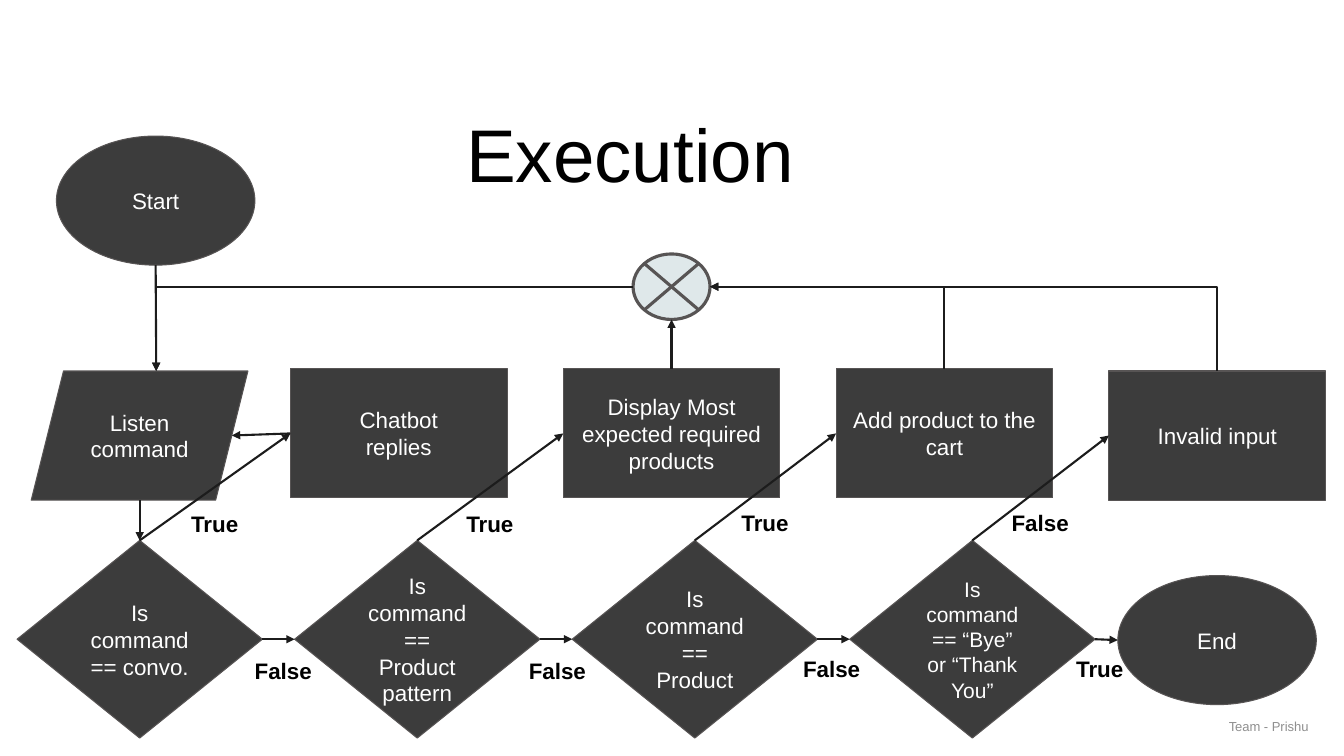
from dataclasses import dataclass
from typing import NamedTuple, Optional

from lxml.etree import SubElement
from pptx import Presentation
from pptx.dml.color import RGBColor
from pptx.enum.shapes import MSO_CONNECTOR, MSO_SHAPE
from pptx.enum.text import MSO_ANCHOR, MSO_AUTO_SIZE, PP_ALIGN
from pptx.oxml.ns import qn
from pptx.shapes.autoshape import Shape
from pptx.shapes.connector import Connector
from pptx.slide import Slide
from pptx.text.text import TextFrame
from pptx.util import Pt


@dataclass(frozen=True)
class Theme:
    font: str = "Arial"
    node: str = "3C3C3C"
    edge: str = "575454"
    link: str = "1C1C1C"
    hub: str = "DFE8EA"
    light: str = "FFFFFF"
    dark: str = "000000"
    muted: str = "8F8F8F"
    title: float = 53.3
    body: float = 16
    small: float = 15
    foot: float = 9.3


THEME = Theme()


class Box(NamedTuple):
    x: float
    y: float
    w: float
    h: float


@dataclass(frozen=True)
class Node:
    kind: MSO_SHAPE
    box: Box
    text: str = ""
    size: float = THEME.body
    fill: str = THEME.node
    line: float = 0.75


@dataclass(frozen=True)
class Port:
    """A connector end, joined to a shape's site when one is given."""
    x: float
    y: float
    shape: Optional[Shape] = None
    site: int = 0


class Label(NamedTuple):
    text: str
    x: float
    y: float


TOP, LEFT, BOTTOM, RIGHT = range(4)
OVAL_W, ROW_H = 141.8, 92.2
RECT_X, RECT_Y, RECT_W, RECT_STEP = 207.4, 263.5, 154.8, 194.9
TEST_X, TEST_Y, TEST_W, TEST_H, TEST_STEP = 12.2, 386, 175.2, 141.2, 198.25
LOW_Y = 265

STEPS = ("Chatbot\nreplies", "Display Most expected required products",
         "Add product to the cart", "Invalid input")
TESTS = ("Is command== convo.", "Is command == Product\npattern",
         "Is command == Product", "Is command == “Bye” or “Thank You”")
LABELS = (
    Label("True", 119.5, 357.1), Label("True", 316.1, 357.1),
    Label("True", 512.6, 356.4), Label("False", 709.2, 356.4),
    Label("False", 168.5, 462.2), Label("False", 364.3, 462.2),
    Label("False", 560.2, 460.8), Label("True", 751.7, 460.8),
)
START = Node(MSO_SHAPE.OVAL, Box(40.3, 97.2, OVAL_W, ROW_H), "Start")
END = Node(MSO_SHAPE.OVAL, Box(798.5, 411.1, OVAL_W, ROW_H), "End")
LISTEN = Node(MSO_SHAPE.PARALLELOGRAM, Box(22.3, LOW_Y, RECT_W, ROW_H),
              "Listen command")
HUB = Node(MSO_SHAPE.FLOWCHART_SUMMING_JUNCTION, Box(452.2, 181.4, 55, 46.8),
           fill=THEME.hub, line=2.25)


def style(frame: TextFrame, size: float, color: str, align: PP_ALIGN,
          bold: bool = False) -> None:
    frame.word_wrap = True
    for para in frame.paragraphs:
        para.alignment = align
        for run in para.runs:
            font = run.font
            font.name, font.size, font.bold = THEME.font, Pt(size), bold
            font.color.rgb = RGBColor.from_string(color)


def draw_node(slide: Slide, node: Node) -> Shape:
    shape = slide.shapes.add_shape(node.kind, *map(Pt, node.box))
    shape.shadow.inherit = False
    shape.fill.solid()
    shape.fill.fore_color.rgb = RGBColor.from_string(node.fill)
    shape.line.color.rgb = RGBColor.from_string(THEME.edge)
    shape.line.width = Pt(node.line)
    if node.text:
        frame = shape.text_frame
        frame.text = node.text
        frame.margin_top = frame.margin_bottom = Pt(7.2)
        frame.vertical_anchor = MSO_ANCHOR.MIDDLE
        style(frame, node.size, THEME.light, PP_ALIGN.CENTER)
    return shape


def draw_text(slide: Slide, text: str, box: Box, size: float, color: str,
              align: PP_ALIGN, bold: bool = False) -> TextFrame:
    frame = slide.shapes.add_textbox(*map(Pt, box)).text_frame
    frame.text = text
    style(frame, size, color, align, bold)
    return frame


def port(shape: Shape, site: int) -> Port:
    """Find the middle of one side of a rectangle or diamond."""
    across, down = {TOP: (0.5, 0), LEFT: (0, 0.5),
                    BOTTOM: (0.5, 1), RIGHT: (1, 0.5)}[site]
    return Port(shape.left.pt + shape.width.pt * across,
                shape.top.pt + shape.height.pt * down, shape, site)


def finish(link: Connector) -> None:
    """Colour a connector, give it an arrowhead and drop its shadow."""
    link.line.color.rgb = RGBColor.from_string(THEME.link)
    link.line.width = Pt(1.5)
    SubElement(link.line._get_or_add_ln(), qn("a:tailEnd"), type="triangle")
    SubElement(link._element.spPr, qn("a:effectLst"))


def draw_link(slide: Slide, start: Port, end: Port) -> None:
    link = slide.shapes.add_connector(
        MSO_CONNECTOR.STRAIGHT, *map(Pt, (start.x, start.y, end.x, end.y)))
    if start.shape is not None:
        link.begin_connect(start.shape, start.site)
    if end.shape is not None:
        link.end_connect(end.shape, end.site)
    finish(link)


def draw_bend(slide: Slide, start: Port, end: Port, rise: bool) -> None:
    """Draw one right-angled turn to the left; rise means upward first."""
    x1, y1, x2, y2 = start.x, start.y, end.x, end.y
    if rise:
        mid_x, mid_y = (x1 + x2) / 2, (y1 + y2) / 2
        half_w, half_h = (y1 - y2) / 2, (x1 - x2) / 2
        x1, y1 = mid_x + half_w, mid_y - half_h
        x2, y2 = mid_x - half_w, mid_y + half_h
    link = slide.shapes.add_connector(
        MSO_CONNECTOR.ELBOW, *map(Pt, (x1, y1, x2, y2)))
    props = link._element.spPr
    props.find(qn("a:prstGeom")).set("prst", "bentConnector2")
    if rise:
        props.find(qn("a:xfrm")).set("rot", "5400000")
    finish(link)


def draw_title(slide: Slide) -> None:
    title = slide.shapes.title
    title.left, title.top, title.width, title.height = map(
        Pt, (73.4, 74.2, 812.9, 71.3))
    frame = title.text_frame
    frame.text = "Execution"
    frame.auto_size = MSO_AUTO_SIZE.NONE
    frame.vertical_anchor = MSO_ANCHOR.BOTTOM
    frame.margin_right = Pt(67)
    frame.paragraphs[0].line_spacing = 0.9
    style(frame, THEME.title, THEME.dark, PP_ALIGN.CENTER)


def draw_links(slide: Slide, tests: list[Shape], rects: list[Shape]) -> None:
    hub_y = HUB.box.y + HUB.box.h / 2
    hub_right = Port(HUB.box.x + HUB.box.w, hub_y)
    inlet = Port(111.6, LOW_Y)
    draw_link(slide, Port(111.2, 189.4), inlet)
    draw_link(slide, Port(99.8, LOW_Y + ROW_H), port(tests[0], TOP))
    for test, rect in zip(tests, rects):
        draw_link(slide, port(test, TOP), port(rect, LEFT))
    goals = [port(test, LEFT) for test in tests[1:]]
    goals.append(Port(END.box.x, END.box.y + ROW_H / 2))
    for test, goal in zip(tests, goals):
        draw_link(slide, port(test, RIGHT), goal)
    draw_link(slide, port(rects[1], TOP),
              Port(479.7, HUB.box.y + HUB.box.h))
    for rect in rects[2:]:
        draw_bend(slide, port(rect, TOP), hub_right, rise=True)
    draw_link(slide, port(rects[0], LEFT), Port(165.6, LOW_Y + ROW_H / 2))
    draw_bend(slide, Port(HUB.box.x, hub_y), inlet, rise=False)


def main() -> None:
    deck = Presentation()
    deck.slide_width, deck.slide_height = Pt(960), Pt(540)
    slide = deck.slides.add_slide(deck.slide_layouts[5])
    draw_title(slide)
    for node in (START, END, LISTEN, HUB):
        draw_node(slide, node)
    tests = [draw_node(slide, Node(
        MSO_SHAPE.DIAMOND,
        Box(TEST_X + i * TEST_STEP, TEST_Y, TEST_W, TEST_H), text,
        THEME.small if text == TESTS[-1] else THEME.body))
        for i, text in enumerate(TESTS)]
    rects = [draw_node(slide, Node(
        MSO_SHAPE.RECTANGLE,
        Box(RECT_X + i * RECT_STEP, LOW_Y if text == STEPS[-1] else RECT_Y,
            RECT_W, ROW_H), text)) for i, text in enumerate(STEPS)]
    draw_links(slide, tests, rects)
    for text, x, y in LABELS:
        frame = draw_text(slide, text, Box(x, y, 67.7, 28.8), THEME.body,
                          THEME.dark, PP_ALIGN.CENTER, bold=True)
        frame.margin_top = frame.margin_bottom = Pt(7.2)
    foot = draw_text(slide, "Team - Prishu", Box(586.1, 504.7, 355.7, 28.8),
                     THEME.foot, THEME.muted, PP_ALIGN.RIGHT)
    foot.vertical_anchor = MSO_ANCHOR.MIDDLE
    deck.save("out.pptx")


if __name__ == "__main__":
    main()
